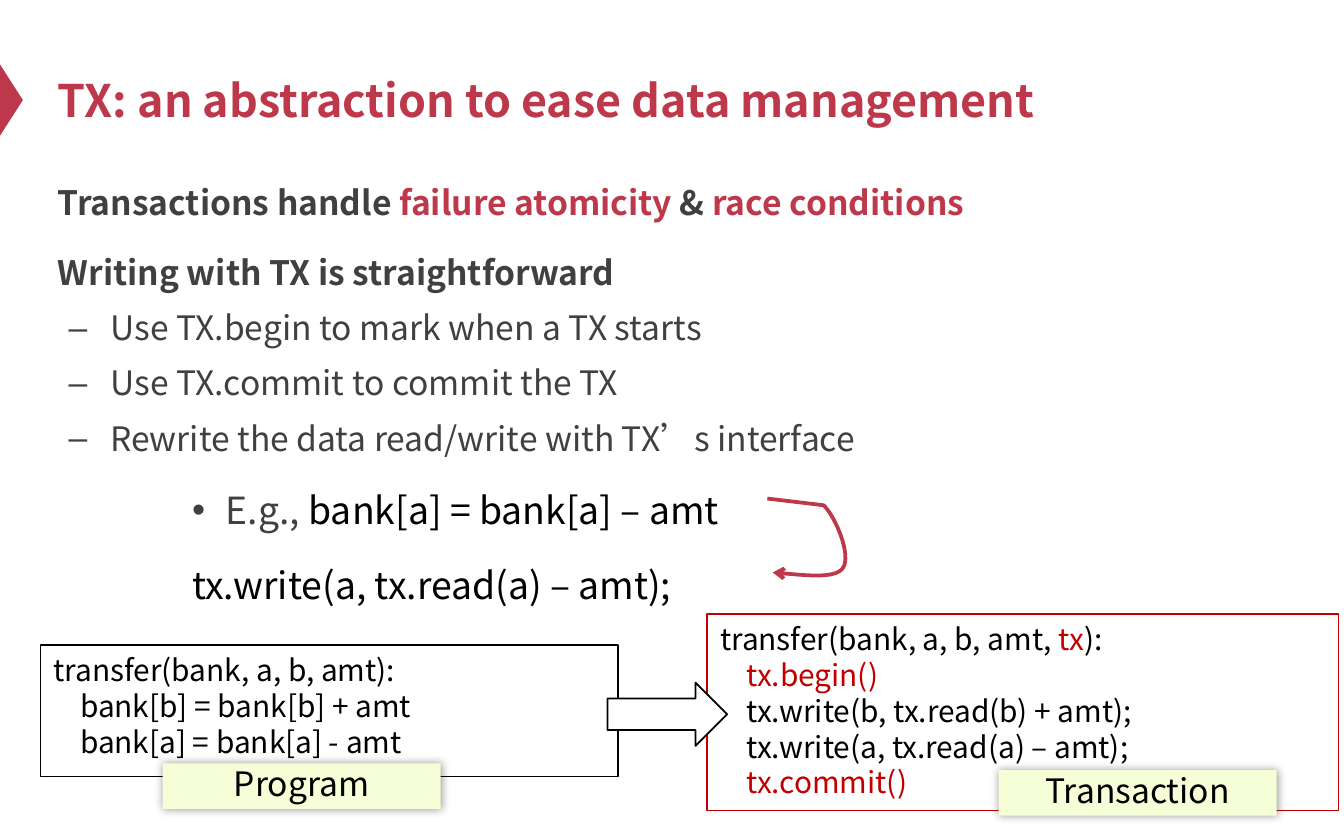
from lxml.etree import SubElement
from pptx import Presentation
from pptx.dml.color import RGBColor
from pptx.enum.shapes import MSO_SHAPE
from pptx.enum.text import MSO_ANCHOR, MSO_AUTO_SIZE, PP_ALIGN
from pptx.oxml.ns import qn
from pptx.util import Inches, Pt

CRIMSON = RGBColor(0xBE, 0x38, 0x4B)
RED = RGBColor(0xC0, 0x00, 0x00)
GRAY = RGBColor(0x40, 0x40, 0x40)
BLACK = RGBColor(0x00, 0x00, 0x00)
WHITE = RGBColor(0xFF, 0xFF, 0xFF)
LIME = RGBColor(0xF5, 0xFE, 0xD6)
FONT = "Noto Sans CJK SC"


class SlideBuilder:
    def __init__(self, slide):
        self.slide = slide

    def place(self, shape, left, top, width, height):
        shape.left, shape.top = Inches(left), Inches(top)
        shape.width, shape.height = Inches(width), Inches(height)

    def add_text(self, paragraph, runs, size, bold=False):
        paragraph.font.name = FONT
        paragraph.font.size = Pt(size)
        paragraph.font.bold = bold
        for text, color in runs:
            run = paragraph.add_run()
            run.text = text
            run.font.color.rgb = color

    def paragraphs(self, frame, count):
        return [frame.paragraphs[0]] + [frame.add_paragraph() for _ in range(count - 1)]

    def title(self, text, *box):
        shape = self.slide.shapes.title
        self.place(shape, *box)
        frame = shape.text_frame
        frame.vertical_anchor = MSO_ANCHOR.MIDDLE
        frame.auto_size = MSO_AUTO_SIZE.NONE
        paragraph = frame.paragraphs[0]
        paragraph.alignment = PP_ALIGN.LEFT
        self.add_text(paragraph, [(text, CRIMSON)], 24, True)

    def body(self, items, *box):
        shape = self.slide.placeholders[1]
        self.place(shape, *box)
        frame = shape.text_frame
        frame.auto_size = MSO_AUTO_SIZE.NONE
        for index, (paragraph, item) in enumerate(zip(self.paragraphs(frame, len(items)), items)):
            level, bullet, margin, indent, runs = item
            paragraph.level = level
            properties = paragraph._p.get_or_add_pPr()
            properties.set("marL", str(Inches(margin)))
            properties.set("indent", str(Inches(indent)))
            if bullet:
                SubElement(properties, qn("a:buChar")).set("char", bullet)
            else:
                SubElement(properties, qn("a:buNone"))
            paragraph.line_spacing = 1.5 if level == 2 else 1.2
            if level == 0:
                paragraph.space_before = Pt(12 if index else 0)
            self.add_text(paragraph, runs, 20 if level == 2 else 18, level == 0)

    def shape(self, kind, box, fill=None, line=None, line_width=0.75):
        shape = self.slide.shapes.add_shape(kind, *map(Inches, box))
        shape.shadow.inherit = False
        if fill is None:
            shape.fill.background()
        else:
            shape.fill.solid()
            shape.fill.fore_color.rgb = fill
        if line is None:
            shape.line.fill.background()
        else:
            shape.line.color.rgb = line
            shape.line.width = Pt(line_width)
        return shape

    def code(self, lines, box, fill, line):
        frame = self.shape(MSO_SHAPE.RECTANGLE, box, fill, line).text_frame
        frame.vertical_anchor = MSO_ANCHOR.TOP
        for paragraph, runs in zip(self.paragraphs(frame, len(lines)), lines):
            paragraph.alignment = PP_ALIGN.LEFT
            self.add_text(paragraph, runs, 16)

    def label(self, text, left, top):
        shape = self.shape(MSO_SHAPE.RECTANGLE, (left, top, 2.07, 0.34), LIME)
        effects = shape._element.spPr.find(qn("a:effectLst"))
        shadow = SubElement(effects, qn("a:outerShdw"), blurRad=str(Pt(5)), dist="0", dir="0")
        color = SubElement(shadow, qn("a:srgbClr"), val=str(BLACK))
        SubElement(color, qn("a:alpha"), val="40000")
        frame = shape.text_frame
        frame.margin_left = frame.margin_right = Inches(0.08)
        frame.margin_top, frame.margin_bottom = 0, Inches(0.04)
        frame.vertical_anchor = MSO_ANCHOR.TOP
        paragraph = frame.paragraphs[0]
        paragraph.alignment = PP_ALIGN.CENTER
        self.add_text(paragraph, [(text, BLACK)], 18)

    def curved_arrow(self, start, corner, controls, color):
        points = [(Inches(x), Inches(y)) for x, y in [corner] + controls]
        builder = self.slide.shapes.build_freeform(Inches(start[0]), Inches(start[1]))
        builder.add_line_segments(points, close=False)
        shape = builder.convert_to_shape()
        shape.shadow.inherit = False
        shape.fill.background()
        shape.line.color.rgb = color
        shape.line.width = Pt(2)
        SubElement(shape.line._get_or_add_ln(), qn("a:tailEnd"), type="arrow")
        outline = shape._element.find(".//" + qn("a:path"))
        segments = outline.findall(qn("a:lnTo"))[1:]
        for first in range(0, len(segments), 3):
            curve = SubElement(outline, qn("a:cubicBezTo"))
            for segment in segments[first:first + 3]:
                curve.append(segment[0])
                outline.remove(segment)


def main():
    presentation = Presentation()
    presentation.slide_width, presentation.slide_height = Inches(10), Inches(6.25)
    builder = SlideBuilder(presentation.slides.add_slide(presentation.slide_layouts[1]))

    marker = builder.shape(MSO_SHAPE.ISOSCELES_TRIANGLE, (-0.18, 0.66, 0.53, 0.17), CRIMSON)
    marker.rotation = 90
    builder.title("TX: an abstraction to ease data management", 0.33, 0.25, 9, 0.98)

    steps = [
        "Use TX.begin to mark when a TX starts",
        "Use TX.commit to commit the TX",
        "Rewrite the data read/write with TX’s interface",
    ]
    builder.body([
        (0, None, 0, 0, [
            ("Transactions handle ", GRAY), ("failure atomicity", CRIMSON),
            (" & ", GRAY), ("race conditions", CRIMSON),
        ]),
        (0, None, 0, 0, [("Writing with TX is straightforward", GRAY)]),
        *[(1, "–", 0.39, -0.31, [(step, GRAY)]) for step in steps],
        (2, "•", 1.25, -0.25, [("E.g., ", GRAY), ("bank[a] = bank[a] – amt", BLACK)]),
        (2, None, 1, 0, [("tx.write(a, tx.read(a) – amt);", BLACK)]),
    ], 0.33, 1.24, 9, 4.12)

    builder.curved_arrow(
        (5.71, 3.71), (6.13, 3.76),
        [(6.22, 3.85), (6.34, 4.14), (6.27, 4.23), (6.21, 4.31), (5.75, 4.26), (5.75, 4.26)],
        CRIMSON,
    )

    builder.code([
        [("transfer(bank, a, b, amt):", BLACK)],
        [("    bank[b] = bank[b] + amt", BLACK)],
        [("    bank[a] = bank[a] - amt", BLACK)],
    ], (0.3, 4.8, 4.3, 0.98), None, BLACK)
    builder.code([
        [("transfer(bank, a, b, amt, ", BLACK), ("tx", RED), ("):", BLACK)],
        [("    tx.begin()", RED)],
        [("    tx.write(b, tx.read(b) + amt);", BLACK)],
        [("    tx.write(a, tx.read(a) – amt);", BLACK)],
        [("    tx.commit()", RED)],
    ], (5.26, 4.57, 4.7, 1.46), WHITE, RED)

    builder.shape(MSO_SHAPE.RIGHT_ARROW, (4.52, 5.08, 0.89, 0.47), WHITE, BLACK, 1)
    builder.label("Program", 1.21, 5.68)
    builder.label("Transaction", 7.43, 5.73)
    presentation.save("out.pptx")


if __name__ == "__main__":
    main()
